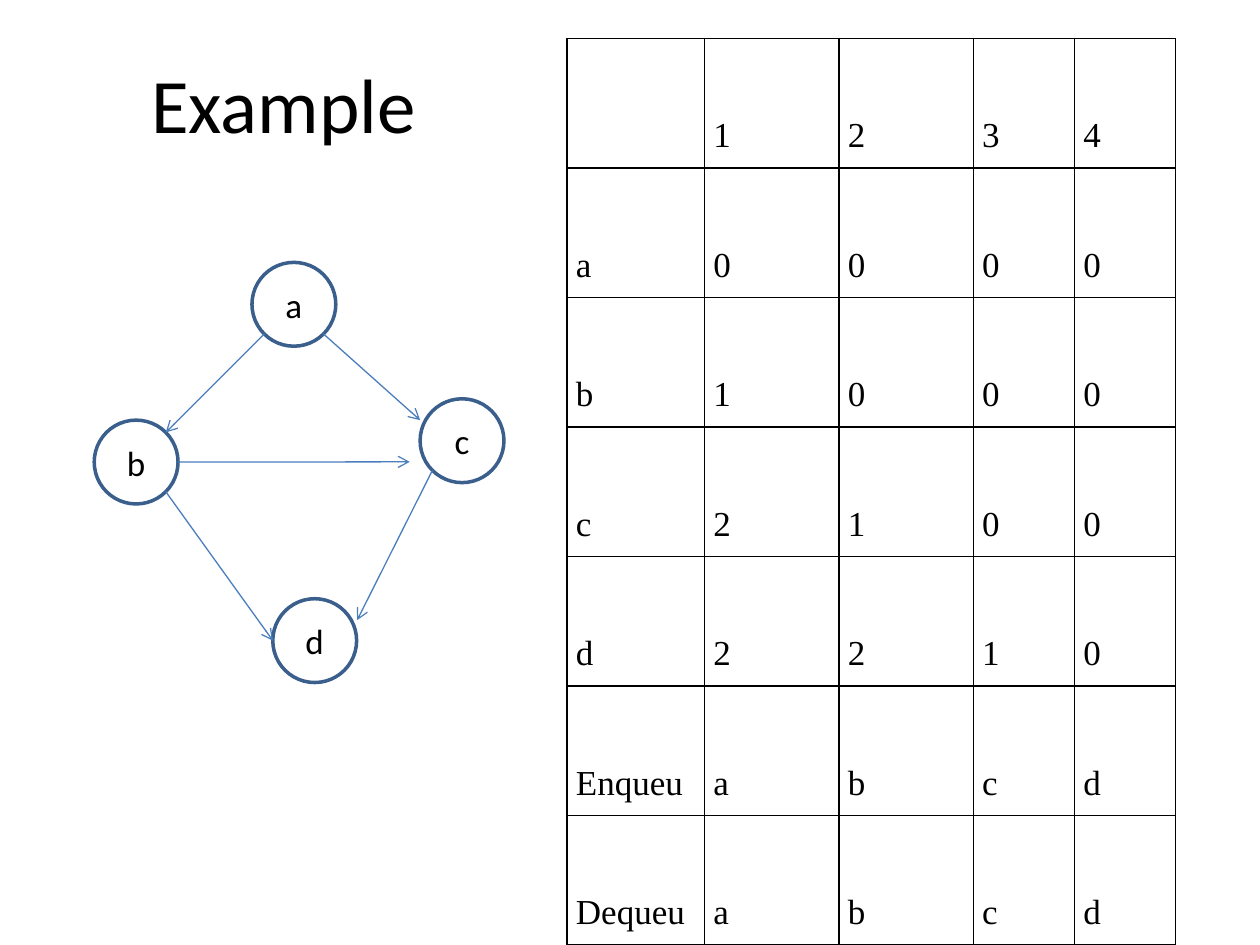
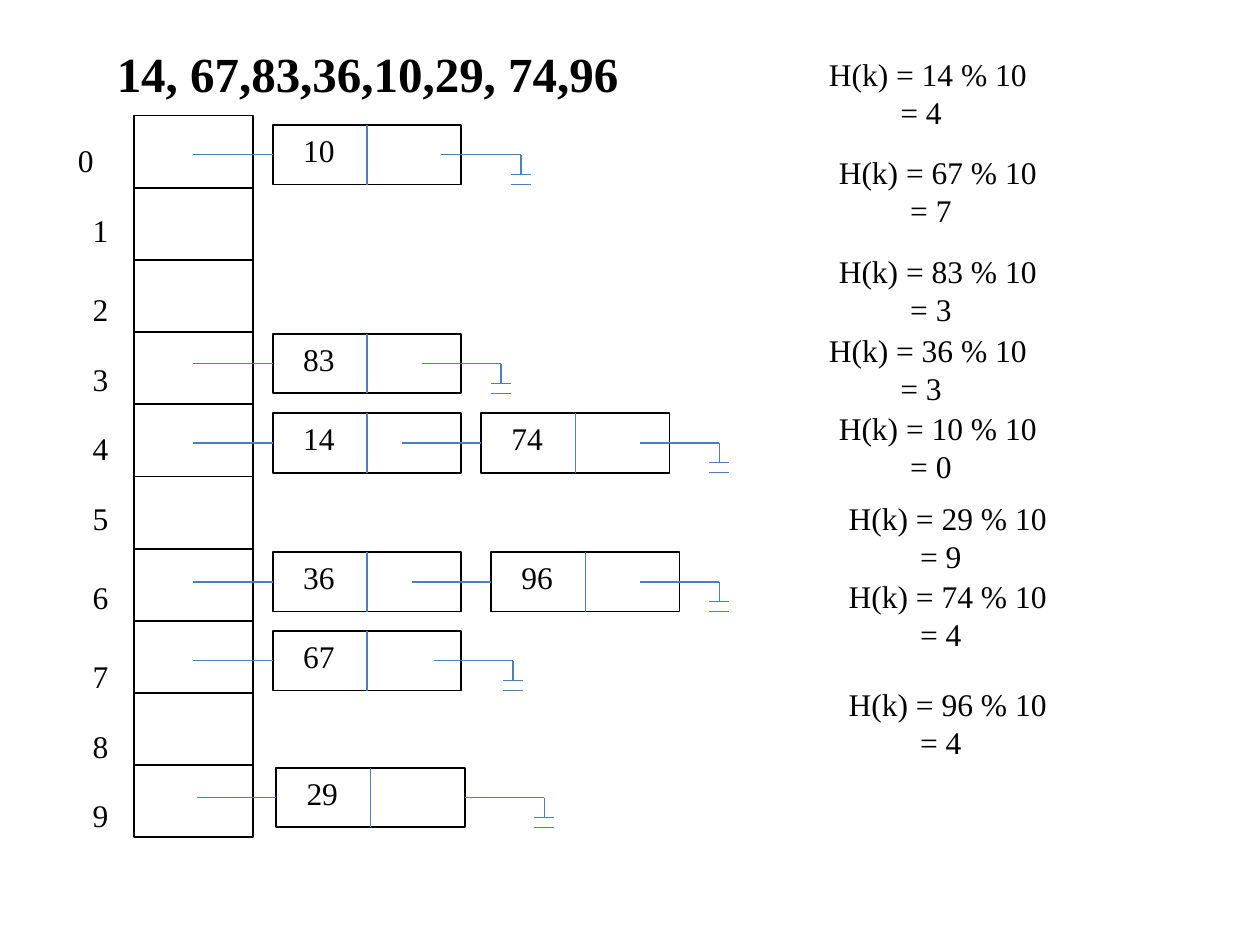
import dataclasses
import math

import pptx
import pptx.dml.color
import pptx.enum.shapes
import pptx.enum.text
import pptx.oxml.ns
import pptx.util
from lxml import etree

Cm = pptx.util.Cm
Pt = pptx.util.Pt
Align = pptx.enum.text.PP_ALIGN
Anchor = pptx.enum.text.MSO_ANCHOR
Preset = pptx.enum.shapes.MSO_SHAPE
qn = pptx.oxml.ns.qn

TITLE_ONLY = 5
LEFT_SIDE, RIGHT_SIDE = 1, 3


@dataclasses.dataclass(frozen=True)
class Theme:
    ink: str = "000000"
    link: str = "4B7EBC"
    node_outline: str = "3A5F8C"
    sans: str = "Calibri"
    serif: str = "Times New Roman"
    title_size: int = 44
    heading_size: int = 28
    large_size: int = 20
    body_size: int = 18
    node_width: float = 2
    box_width: float = 1
    link_width: float = 0.75


THEME = Theme()


def rgb(color):
    return pptx.dml.color.RGBColor.from_string(color)


def write(text_frame, *lines, font=THEME.serif, size=THEME.body_size, color=THEME.ink,
          bold=False, align=Align.LEFT, anchor=Anchor.TOP, indents=(), line_spacing=None):
    """Fill a text frame with one paragraph per line; indents are in cm, one per line."""
    text_frame.word_wrap = True
    text_frame.vertical_anchor = anchor
    text_frame.text = "\n".join(lines)
    for paragraph in text_frame.paragraphs:
        paragraph.alignment = align
        paragraph.line_spacing = line_spacing
        paragraph.font.name = font
        paragraph.font.size = Pt(size)
        paragraph.font.bold = bold
        paragraph.font.color.rgb = rgb(color)
    for paragraph, indent in zip(text_frame.paragraphs, indents):
        paragraph._p.get_or_add_pPr().set("marL", str(Cm(indent)))


class Deck:
    def __init__(self, theme):
        self.theme = theme
        self.presentation = pptx.Presentation()
        self.presentation.slide_width = Cm(25.4)
        self.presentation.slide_height = Cm(19.05)
        self.slide = None

    def add_slide(self, title, left, top, width, height, **text_format):
        layout = self.presentation.slide_layouts[TITLE_ONLY]
        self.slide = self.presentation.slides.add_slide(layout)
        shape = self.slide.shapes.title
        shape.left, shape.top, shape.width, shape.height = map(Cm, (left, top, width, height))
        shape.text_frame.auto_size = pptx.enum.text.MSO_AUTO_SIZE.NONE
        write(shape.text_frame, title, **text_format)

    def text(self, left, top, width, height, *lines, **text_format):
        shape = self.slide.shapes.add_textbox(Cm(left), Cm(top), Cm(width), Cm(height))
        write(shape.text_frame, *lines, **text_format)

    def outline(self, preset, left, top, width, height, color, line_width):
        """Add an unfilled preset shape."""
        shape = self.slide.shapes.add_shape(preset, Cm(left), Cm(top), Cm(width), Cm(height))
        shape.shadow.inherit = False
        shape.fill.background()
        shape.line.color.rgb = rgb(color)
        shape.line.width = Pt(line_width)
        return shape

    def box(self, left, top, width, height):
        return self.outline(Preset.RECTANGLE, left, top, width, height,
                            self.theme.ink, self.theme.box_width)

    def node(self, label, left, top, diameter):
        shape = self.outline(Preset.OVAL, left, top, diameter, diameter,
                             self.theme.node_outline, self.theme.node_width)
        write(shape.text_frame, label, font=self.theme.sans, size=self.theme.large_size,
              align=Align.CENTER, anchor=Anchor.MIDDLE)

    def line(self, start, end, arrow=False):
        connector = self.slide.shapes.add_connector(
            pptx.enum.shapes.MSO_CONNECTOR.STRAIGHT, *map(Cm, (*start, *end)))
        connector.line.color.rgb = rgb(self.theme.link)
        connector.line.width = Pt(self.theme.link_width)
        if arrow:
            line_element = connector.line._get_or_add_ln()
            etree.SubElement(line_element, qn("a:tailEnd"), type="arrow")
        etree.SubElement(connector._element.spPr, qn("a:effectLst"))
        return connector

    def table(self, left, top, column_widths, row_height, rows):
        frame = self.slide.shapes.add_table(
            len(rows), len(column_widths), Cm(left), Cm(top),
            Cm(sum(column_widths)), Cm(row_height * len(rows)))
        table = frame.table
        table.first_row = table.horz_banding = False
        for column, width in zip(table.columns, column_widths):
            column.width = Cm(width)
        for row, values in zip(table.rows, rows):
            row.height = Cm(row_height)
            for cell, value in zip(row.cells, values):
                self.cell(cell, value)

    def cell(self, cell, value):
        properties = cell._tc.get_or_add_tcPr()
        for side in ("a:lnL", "a:lnR", "a:lnT", "a:lnB"):
            border = etree.SubElement(properties, qn(side), w=str(Pt(self.theme.box_width)))
            fill = etree.SubElement(border, qn("a:solidFill"))
            etree.SubElement(fill, qn("a:srgbClr"), val=self.theme.ink)
        cell.fill.background()
        cell.margin_left = cell.margin_right = Cm(0.18)
        cell.margin_top = cell.margin_bottom = 0
        write(cell.text_frame, value, size=self.theme.large_size,
              align=Align.JUSTIFY, line_spacing=3.0)


# Graph slide
NODE_DIAMETER = 1.69
NODES = {"a": (5.08, 5.29), "b": (1.9, 8.47), "c": (8.47, 8.04), "d": (5.5, 12.07)}
QUEUE_COLUMNS = (2.77, 2.71, 2.71, 2.04, 2.04)
QUEUE_ROWS = (
    ("", "1", "2", "3", "4"),
    ("a", "0", "0", "0", "0"),
    ("b", "1", "0", "0", "0"),
    ("c", "2", "1", "0", "0"),
    ("d", "2", "2", "1", "0"),
    ("Enqueu", "a", "b", "c", "d"),
    ("Dequeu", "a", "b", "c", "d"),
)


def rim(label, degrees):
    """Point on a node's circle, measured clockwise from its right side."""
    left, top = NODES[label]
    radius = NODE_DIAMETER / 2
    angle = math.radians(degrees)
    return left + radius * (1 + math.cos(angle)), top + radius * (1 + math.sin(angle))


def build_graph_slide(deck):
    deck.add_slide("Example", 1.27, 0.76, 8.89, 2.62, font=THEME.sans,
                   size=THEME.title_size, align=Align.CENTER, anchor=Anchor.MIDDLE)
    for label, (left, top) in NODES.items():
        deck.node(label, left, top, NODE_DIAMETER)
    edges = (
        (rim("a", 135), rim("b", -45)),
        (rim("a", 45), (8.47, 8.47)),
        (rim("b", 0), (8.26, 9.31)),
        (rim("c", 135), (7.2, 12.5)),
        (rim("b", 45), rim("d", 180)),
    )
    for start, end in edges:
        deck.line(start, end, arrow=True)
    deck.table(11.43, 0.78, QUEUE_COLUMNS, 2.61, QUEUE_ROWS)


# Hash table slide
BUCKET_LEFT, BUCKET_TOP, BUCKET_WIDTH = 2.7, 2.33, 2.4
BUCKET_COUNT = 10
BUCKET_HEIGHT = 14.55 / BUCKET_COUNT
INDEX_TOPS = (2.72, 4.12, 5.72, 7.13, 8.53, 9.93, 11.53, 13.13, 14.53, 15.93)
ENTRY_WIDTH, ENTRY_HEIGHT = 3.8, 1.2
LINK_LENGTH = 1.6
SPACE = 0.16

# key, left, top, offset where the line to ground begins (None: linked onward)
ENTRIES = (
    ("10", 5.5, 2.52, 3.4),
    ("83", 5.5, 6.73, 3.0),
    ("14", 5.5, 8.33, None),
    ("74", 9.7, 8.33, 3.2),
    ("36", 5.5, 11.13, None),
    ("96", 9.9, 11.13, 3.0),
    ("67", 5.5, 12.72, 3.24),
    ("29", 5.57, 15.48, ENTRY_WIDTH),
)
# key, result, left, top
HASHES = (
    (14, 4, 16.46, 0.99),
    (67, 7, 16.66, 2.97),
    (83, 3, 16.66, 4.95),
    (36, 3, 16.46, 6.55),
    (10, 0, 16.66, 8.13),
    (29, 9, 16.86, 9.93),
    (74, 4, 16.86, 11.51),
    (96, 4, 16.86, 13.69),
)


def draw_ground(deck, left, top):
    """Draw the end-of-chain symbol and return its lead line."""
    stem = left + LINK_LENGTH
    lead = deck.line((left, top), (stem, top))
    deck.line((stem, top), (stem, top + 0.4))
    for drop in (0.4, 0.6):
        deck.line((stem - 0.2, top + drop), (stem + 0.2, top + drop))
    return lead


def draw_entry(deck, key, left, top, ground_offset):
    middle = top + ENTRY_HEIGHT / 2
    divider = left + ENTRY_WIDTH / 2
    box = deck.box(left, top, ENTRY_WIDTH, ENTRY_HEIGHT)
    deck.line((divider, top), (divider, top + ENTRY_HEIGHT))
    deck.text(left + 0.2, top, 1.6, 1.02, key, indents=(SPACE,))
    deck.line((left - LINK_LENGTH, middle), (left, middle)).end_connect(box, LEFT_SIDE)
    if ground_offset is not None:
        lead = draw_ground(deck, left + ground_offset, middle)
        if ground_offset == ENTRY_WIDTH:
            lead.begin_connect(box, RIGHT_SIDE)


def build_hash_slide(deck):
    deck.add_slide("14, 67,83,36,10,29, 74,96", 2.1, 0.74, 14.4, 1.45,
                   size=THEME.heading_size, bold=True)
    for index, index_top in enumerate(INDEX_TOPS):
        deck.box(BUCKET_LEFT, BUCKET_TOP + index * BUCKET_HEIGHT, BUCKET_WIDTH, BUCKET_HEIGHT)
        index_left = 1.3 if index else 1.0
        deck.text(index_left, index_top, 1.2, 1.02, str(index), indents=(2 * SPACE,))
    for entry in ENTRIES:
        draw_entry(deck, *entry)
    for key, result, left, top in HASHES:
        deck.text(left, top, 7.4, 1.8, f"H(k) = {key} % 10", f"= {result}",
                  indents=(0, 9 * SPACE))


def main():
    deck = Deck(THEME)
    build_graph_slide(deck)
    build_hash_slide(deck)
    deck.presentation.save("out.pptx")


if __name__ == "__main__":
    main()
